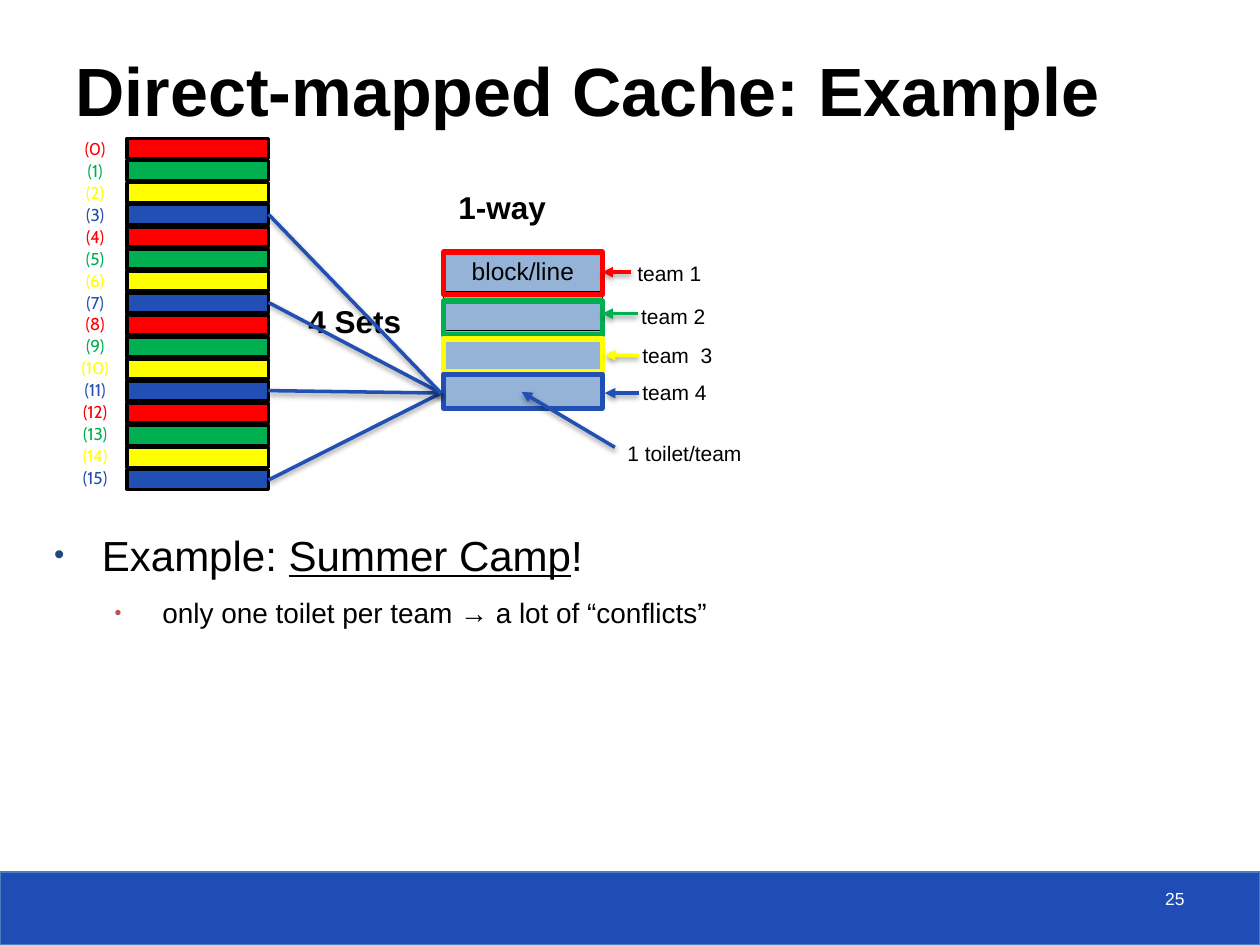
"""Build the direct-mapped cache example slide."""
from dataclasses import dataclass
from typing import Optional

from lxml import etree
from pptx import Presentation
from pptx.dml.color import RGBColor
from pptx.enum import shapes, text
from pptx.oxml import ns
from pptx.util import Inches, Pt


@dataclass(frozen=True)
class Theme:
    """Colours, fonts and type sizes."""
    sets: tuple = ("FF0000", "00B050", "FFFF00", "224FB3")
    ink: str = "000000"
    paper: str = "FFFFFF"
    band: str = "204DB5"
    edge: str = "4B7EBC"
    cell: str = "95B3D7"
    dots: tuple = ("1F497D", "C0504D")
    face: str = "Arial"
    index: str = "Cabin"
    title: float = 39
    lead: float = 24
    head: float = 18
    point: float = 16
    block: float = 14
    note: float = 12
    page: float = 10
    tiny: float = 9.8


@dataclass(frozen=True)
class Box:
    """A rectangle in inches."""
    x: float
    y: float
    w: float
    h: float

    def span(self) -> tuple:
        """Return the rectangle as slide lengths."""
        return tuple(Inches(v) for v in (self.x, self.y, self.w, self.h))


@dataclass(frozen=True)
class Label:
    """A one-line text and its place."""
    words: str
    box: Box
    size: float
    bold: bool = False
    align: text.PP_ALIGN = text.PP_ALIGN.LEFT
    color: str = "000000"


@dataclass(frozen=True)
class Line:
    """A straight line, with an arrowhead if asked."""
    start: tuple
    end: tuple
    color: str
    arrow: bool = False


@dataclass(frozen=True)
class Point:
    """A bulleted line made of plain and underlined pieces."""
    bits: tuple
    box: Box
    size: float
    level: int


T = Theme()
RED, GREEN, GOLD, BLUE = T.sets


def style(para, size: float, color: str = T.ink, face: str = T.face, bold: bool = False) -> None:
    """Set the font of a paragraph."""
    font = para.font
    font.size, font.name, font.bold = Pt(size), face, bold
    font.color.rgb = RGBColor.from_string(color)


def add(parent, tag: str, **attrs):
    """Append a drawing element."""
    return etree.SubElement(parent, ns.qn("a:" + tag), attrs)


def rect(slide, box: Box, fill: Optional[str], edge: Optional[str], width: float = 0,
         kind=shapes.MSO_SHAPE.RECTANGLE):
    """Draw a flat shape."""
    item = slide.shapes.add_shape(kind, *box.span())
    item.shadow.inherit = False
    if fill:
        item.fill.solid()
        item.fill.fore_color.rgb = RGBColor.from_string(fill)
    else:
        item.fill.background()
    if edge:
        item.line.color.rgb = RGBColor.from_string(edge)
        item.line.width = Pt(width)
    else:
        item.line.fill.background()
    return item


def label(slide, spec: Label) -> None:
    """Draw a text label."""
    frame = slide.shapes.add_textbox(*spec.box.span()).text_frame
    frame.word_wrap = False
    para = frame.paragraphs[0]
    para.text, para.alignment = spec.words, spec.align
    style(para, spec.size, spec.color, bold=spec.bold)


def line(slide, spec: Line) -> None:
    """Draw a line with a soft shadow."""
    ends = [Inches(v) for v in spec.start + spec.end]
    item = slide.shapes.add_connector(shapes.MSO_CONNECTOR.STRAIGHT, *ends)
    item.line.color.rgb = RGBColor.from_string(spec.color)
    item.line.width = Pt(2)
    props = item._element.spPr
    if spec.arrow:
        add(props.find(ns.qn("a:ln")), "tailEnd", type="triangle")
    shade = add(add(props, "effectLst"), "outerShdw", blurRad=str(Pt(3.1)),
                dist=str(Pt(1.6)), dir="5400000", rotWithShape="0")
    add(add(shade, "srgbClr", val=T.ink), "alpha", val="38000")


def point(slide, spec: Point) -> None:
    """Draw a bulleted line."""
    item = rect(slide, spec.box, None, None, kind=shapes.MSO_SHAPE.ROUNDED_RECTANGLE)
    item.adjustments[0] = 0.01
    frame = item.text_frame
    frame.word_wrap, frame.vertical_anchor = True, text.MSO_ANCHOR.TOP
    para = frame.paragraphs[0]
    para.alignment, para.level = text.PP_ALIGN.LEFT, spec.level
    props = para._p.get_or_add_pPr()
    props.set("marL", str(Inches(0.38 * (spec.level + 1))))
    props.set("indent", str(Inches(-0.38)))
    add(add(props, "buClr"), "srgbClr", val=T.dots[spec.level])
    add(props, "buSzPct", val="70000")
    add(props, "buFont", typeface=T.face)
    add(props, "buChar", char="•")
    style(para, spec.size)
    for words, under in spec.bits:
        run = para.add_run()
        run.text = words
        if under:
            run.font.underline = True


def cache(slide, box: Box) -> None:
    """Draw the cache table."""
    grid = slide.shapes.add_table(4, 1, *box.span()).table
    grid.first_row = grid.horz_banding = False
    for row in range(4):
        cell = grid.cell(row, 0)
        cell.margin_top = cell.margin_bottom = 0
        cell.vertical_anchor = text.MSO_ANCHOR.MIDDLE
        props = cell._tc.get_or_add_tcPr()
        for side in ("lnL", "lnR", "lnT", "lnB"):
            edge = add(props, side, w=str(Pt(1)))
            add(add(edge, "solidFill"), "srgbClr", val=T.ink)
        cell.fill.solid()
        cell.fill.fore_color.rgb = RGBColor.from_string(T.cell)
        para = cell.text_frame.paragraphs[0]
        para.alignment = text.PP_ALIGN.CENTER
        if row == 0:
            para.text = "block/line"
        style(para, T.block)


def memory(slide) -> None:
    """Draw the memory blocks and their numbers."""
    for num in range(16):
        rect(slide, Box(1.01, 1.1 + 0.175 * num, 1.12, 0.16), T.sets[num % 4], T.ink, 2)
    frame = slide.shapes.add_textbox(*Box(0.53, 1.03, 0.45, 2.91).span()).text_frame
    frame.word_wrap, frame.vertical_anchor = False, text.MSO_ANCHOR.MIDDLE
    for num in range(16):
        para = frame.add_paragraph() if num else frame.paragraphs[0]
        para.text, para.alignment = f"({num})", text.PP_ALIGN.CENTER
        if num % 8:
            para.space_before = Pt(0.8)
        style(para, T.tiny, T.sets[num % 4], T.index)


def main() -> None:
    """Build and save the slide."""
    deck = Presentation()
    deck.slide_width, deck.slide_height = Inches(10), Inches(7.5)
    slide = deck.slides.add_slide(deck.slide_layouts[5])
    title = slide.shapes.title
    title.left, title.top, title.width, title.height = Box(0.5, 0.25, 9.29, 0.83).span()
    frame = title.text_frame
    frame.text = "Direct-mapped Cache: Example"
    frame.auto_size, frame.vertical_anchor = text.MSO_AUTO_SIZE.NONE, text.MSO_ANCHOR.BOTTOM
    frame.paragraphs[0].alignment = text.PP_ALIGN.LEFT
    style(frame.paragraphs[0], T.title, bold=True)

    rect(slide, Box(0, 6.92, 10, 0.58), T.band, T.edge, 0.75)
    cache(slide, Box(3.52, 2, 1.26, 1.25))
    mid, right = text.PP_ALIGN.CENTER, text.PP_ALIGN.RIGHT
    for spec in (
        Label("25", Box(7.17, 7, 2.33, 0.33), T.page, align=right, color=T.paper),
        Label("4 Sets", Box(2.34, 2.35, 0.95, 0.4), T.head, True, mid),
        Label("1-way", Box(3.54, 1.44, 0.9, 0.4), T.head, True),
        Label("team 1", Box(4.96, 2.02, 0.8, 0.3), T.note),
        Label("team 2", Box(4.99, 2.36, 0.72, 0.3), T.note),
        Label("team  3", Box(5, 2.67, 0.76, 0.3), T.note),
        Label("team 4", Box(5, 2.96, 0.72, 0.3), T.note),
        Label("1 toilet/team", Box(4.88, 3.45, 1.12, 0.3), T.note),
    ):
        label(slide, spec)
    for color, (top, high) in zip(T.sets, ((2, 0.34), (2.39, 0.27), (2.69, 0.26), (2.97, 0.27))):
        rect(slide, Box(3.52, top, 1.26, high), None, color, 3)
    memory(slide)
    links = [Line((2.13, y), (3.5, 3.12), BLUE) for y in (3.81, 3.1, 2.4, 1.7)]
    arrows = [Line((5.01, 2.16), (4.78, 2.16), RED, True),
              Line((5.06, 2.49), (4.78, 2.49), GREEN, True),
              Line((5.07, 2.82), (4.8, 2.82), GOLD, True),
              Line((5.07, 3.12), (4.8, 3.12), BLUE, True),
              Line((4.88, 3.55), (4.14, 3.11), BLUE, True)]
    for spec in links + arrows:
        line(slide, spec)
    point(slide, Point((("Example: ", False), ("Summer Camp", True), ("!", False)),
                       Box(0.33, 4.15, 9.17, 0.52), T.lead, 0))
    point(slide, Point((("only one toilet per team → a lot of “conflicts”", False),),
                       Box(0.43, 4.68, 9.17, 0.43), T.point, 1))
    deck.save("out.pptx")


if __name__ == "__main__":
    main()
